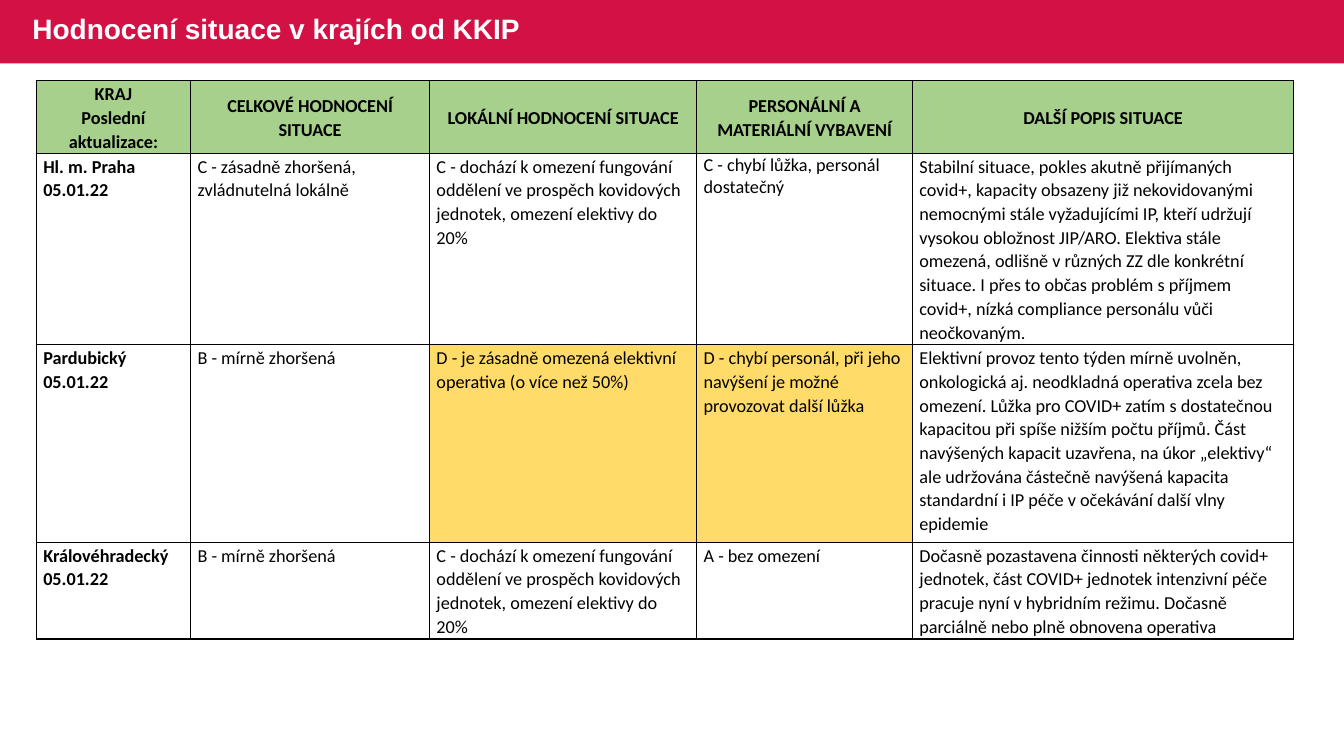
import pptx
import pptx.util
import pptx.dml.color
import pptx.enum.shapes
import pptx.enum.text
import pptx.oxml

Inches = pptx.util.Inches
Pt = pptx.util.Pt
RGBColor = pptx.dml.color.RGBColor
PP_ALIGN = pptx.enum.text.PP_ALIGN
MSO_ANCHOR = pptx.enum.text.MSO_ANCHOR

CRIMSON = RGBColor(0xD3, 0x11, 0x45)
GREEN = RGBColor(0xA8, 0xD0, 0x8D)
YELLOW = RGBColor(0xFF, 0xDB, 0x69)
WHITE = RGBColor(0xFF, 0xFF, 0xFF)
BLACK = RGBColor(0, 0, 0)

COL_WIDTHS = [1.53, 2.37, 2.65, 2.14, 3.78]
ROW_HEIGHTS = [0.72, 1.9, 1.96, 0.96]
LOCAL_C = ("C - dochází k omezení fungování oddělení ve prospěch kovidových "
           "jednotek, omezení elektivy do 20%")
ROWS = [
    ["KRAJ\nPoslední aktualizace:", "CELKOVÉ HODNOCENÍ SITUACE",
     "LOKÁLNÍ HODNOCENÍ SITUACE", "PERSONÁLNÍ A MATERIÁLNÍ VYBAVENÍ",
     "DALŠÍ POPIS SITUACE"],
    ["Hl. m. Praha\n05.01.22", "C - zásadně zhoršená, zvládnutelná lokálně",
     LOCAL_C, "C - chybí lůžka, personál dostatečný",
     "Stabilní situace, pokles akutně přijímaných covid+, kapacity obsazeny již "
     "nekovidovanými nemocnými stále vyžadujícími IP, kteří udržují vysokou "
     "obložnost JIP/ARO. Elektiva stále omezená, odlišně v různých ZZ dle "
     "konkrétní situace. I přes to občas problém s příjmem covid+, nízká "
     "compliance personálu vůči neočkovaným."],
    ["Pardubický\n05.01.22", "B - mírně zhoršená",
     "D - je zásadně omezená elektivní operativa (o více než 50%)",
     "D - chybí personál, při jeho navýšení je možné provozovat další lůžka",
     "Elektivní provoz tento týden mírně uvolněn, onkologická aj. neodkladná "
     "operativa zcela bez omezení. Lůžka pro COVID+ zatím s dostatečnou "
     "kapacitou při spíše nižším počtu příjmů. Část navýšených kapacit "
     "uzavřena, na úkor „elektivy“ ale udržována částečně navýšená kapacita "
     "standardní i IP péče v očekávání další vlny epidemie"],
    ["Královéhradecký\n05.01.22", "B - mírně zhoršená", LOCAL_C,
     "A - bez omezení",
     "Dočasně pozastavena činnosti některých covid+ jednotek, část COVID+ "
     "jednotek intenzivní péče pracuje nyní v hybridním režimu. Dočasně "
     "parciálně nebo plně obnovena operativa"],
]


def write(tf, text, size=13, font="Calibri", color=BLACK, bold=False,
          align=PP_ALIGN.LEFT, spacing=1.07):
    for i, line in enumerate(text.split("\n")):
        p = tf.paragraphs[0] if i == 0 else tf.add_paragraph()
        p.alignment = align
        p.line_spacing = spacing
        r = p.add_run()
        r.text = line
        r.font.size = Pt(size)
        r.font.name = font
        r.font.bold = bold
        r.font.color.rgb = color


def add_borders(cell, color=BLACK, width=1):
    tcPr = cell._tc.get_or_add_tcPr()
    for i, side in enumerate(("lnL", "lnR", "lnT", "lnB")):
        tcPr.insert(i, pptx.oxml.parse_xml(
            f'<a:{side} xmlns:a="http://schemas.openxmlformats.org/drawingml/2006/main" '
            f'w="{Pt(width)}"><a:solidFill><a:srgbClr val="{color}"/></a:solidFill>'
            f'</a:{side}>'))


class SlideBuilder:
    def __init__(self, prs):
        self.s = prs.slides.add_slide(prs.slide_layouts[5])

    def band(self, x, y, w, h, color):
        sp = self.s.shapes.add_shape(
            pptx.enum.shapes.MSO_SHAPE.RECTANGLE,
            Inches(x), Inches(y), Inches(w), Inches(h))
        sp.shadow.inherit = False
        sp.fill.solid()
        sp.fill.fore_color.rgb = color
        sp.line.fill.background()
        self.s.shapes._spTree.insert(2, sp._element)

    def title(self, text, x, y, w, h):
        sp = self.s.shapes.title
        sp.left, sp.top, sp.width, sp.height = map(Inches, (x, y, w, h))
        tf = sp.text_frame
        tf.word_wrap = True
        tf.vertical_anchor = MSO_ANCHOR.MIDDLE
        write(tf, text, size=20, font="Arial", color=WHITE, bold=True, spacing=0.9)

    def table(self, x, y, rows, widths, heights, highlights):
        table = self.s.shapes.add_table(
            len(rows), len(widths), Inches(x), Inches(y),
            Inches(sum(widths)), Inches(sum(heights))).table
        table.horz_banding = False
        for col, width in zip(table.columns, widths):
            col.width = Inches(width)
        for row, height in zip(table.rows, heights):
            row.height = Inches(height)
        for i, texts in enumerate(rows):
            for j, text in enumerate(texts):
                header = i == 0
                cell = table.cell(i, j)
                cell.margin_left = cell.margin_right = Inches(0.07)
                cell.margin_top = Inches(0.01)
                cell.margin_bottom = 0
                cell.vertical_anchor = MSO_ANCHOR.MIDDLE if header else MSO_ANCHOR.TOP
                cell.fill.solid()
                cell.fill.fore_color.rgb = (
                    GREEN if header else YELLOW if (i, j) in highlights else WHITE)
                write(cell.text_frame, text, bold=header or j == 0,
                      align=PP_ALIGN.CENTER if header else PP_ALIGN.LEFT,
                      spacing=1.0 if (i, j) == (1, 3) else 1.07)
                add_borders(cell)


def main():
    prs = pptx.Presentation()
    prs.slide_width = Inches(13.33)
    prs.slide_height = Inches(7.5)
    slide = SlideBuilder(prs)
    slide.band(0, 0, 13.33, 0.63, CRIMSON)
    slide.title("Hodnocení situace v krajích od KKIP", 0.22, -0.01, 8.14, 0.63)
    slide.table(0.36, 0.8, ROWS, COL_WIDTHS, ROW_HEIGHTS, {(2, 2), (2, 3)})
    prs.save("out.pptx")


if __name__ == "__main__":
    main()
